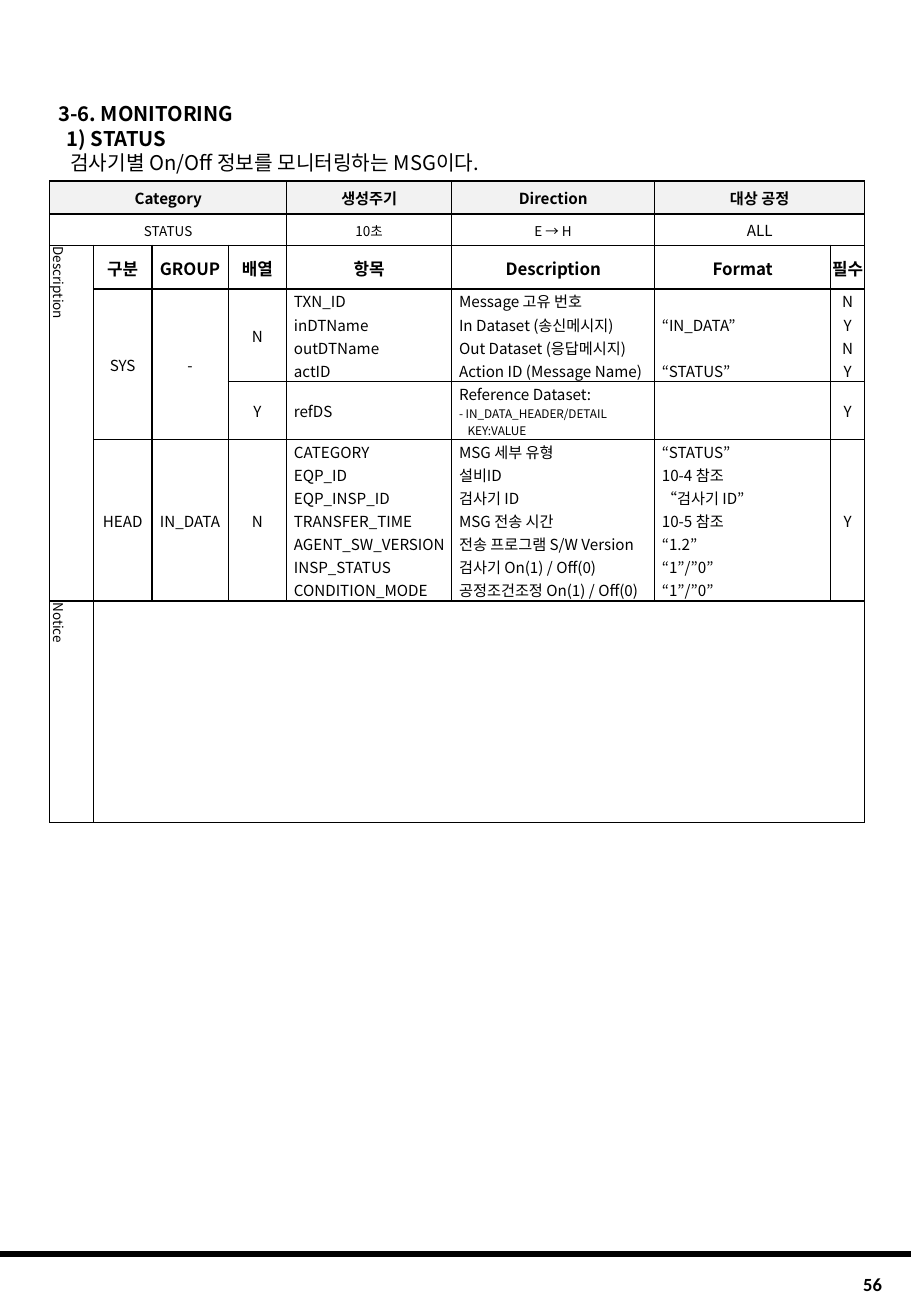
from dataclasses import dataclass

from lxml.etree import SubElement
from pptx import Presentation
from pptx.dml.color import RGBColor
from pptx.enum.shapes import MSO_CONNECTOR as Conn
from pptx.enum.text import MSO_ANCHOR as Anchor, PP_ALIGN as Align
from pptx.oxml import parse_xml
from pptx.oxml.ns import nsdecls, qn
from pptx.util import Inches, Pt


@dataclass(frozen=True)
class Theme:
    ink: RGBColor = RGBColor(0, 0, 0)
    band: RGBColor = RGBColor(0xF2, 0xF2, 0xF2)
    font: str = "Noto Sans CJK KR"
    side: str = "Calibri"
    title: int = 12
    page: int = 11
    head: int = 10
    body: int = 9
    small: int = 8
    note: int = 7
    pitch: float = 14.2


T = Theme()

COLS = [0.36, 0.48, 0.63, 0.48, 1.36, 1.67, 1.45, 0.28]
ROWS = [0.27, 0.26, 0.36] + [0.19] * 4 + [0.48] + [0.19] * 7 + [1.82]
TOP = ["Category", "생성주기", "Direction", "대상 공정"]
VALUES = ["STATUS", "10초", "E → H", "ALL"]
HEADS = ["구분", "GROUP", "배열", "항목", "Description", "Format", "필수"]
SYS = [
    ("TXN_ID", "Message 고유 번호", "", "N"),
    ("inDTName", "In Dataset (송신메시지)", "“IN_DATA”", "Y"),
    ("outDTName", "Out Dataset (응답메시지)", "", "N"),
    ("actID", "Action ID (Message Name)", "“STATUS”", "Y"),
    ("refDS", "Reference Dataset:\v- IN_DATA_HEADER/DETAIL\nKEY:VALUE", "", "Y"),
]
HEAD = [
    ("CATEGORY", "MSG 세부 유형", "“STATUS”"),
    ("EQP_ID", "설비ID", "10-4 참조"),
    ("EQP_INSP_ID", "검사기 ID", "“검사기 ID”"),
    ("TRANSFER_TIME", "MSG 전송 시간", "10-5 참조"),
    ("AGENT_SW_VERSION", "전송 프로그램 S/W Version", "“1.2”"),
    ("INSP_STATUS", "검사기 On(1) / Off(0)", "“1”/”0”"),
    ("CONDITION_MODE", "공정조건조정 On(1) / Off(0)", "“1”/”0”"),
]
# Merged areas: row, column, last row, last column
SPANS = [(0, 0, 0, 3), (0, 6, 0, 7), (1, 0, 1, 3), (1, 6, 1, 7),
         (2, 0, 14, 0), (3, 1, 7, 1), (3, 2, 7, 2), (3, 3, 6, 3),
         (8, 1, 14, 1), (8, 2, 14, 2), (8, 3, 14, 3), (8, 7, 14, 7),
         (15, 1, 15, 7)]
# Row groups that have no lines between their rows
GROUPS = [(3, 6), (8, 14)]


def style(run, size, bold=False, font=T.font):
    run.font.size, run.font.bold = Pt(size), bold
    run.font.name, run.font.color.rgb = font, T.ink
    east = SubElement(run.font._element, qn("a:ea"))
    east.set("typeface", T.font)


def indent(para, width):
    props = para._p.get_or_add_pPr()
    props.set("marL", str(Inches(width)))
    props.set("indent", "0")


def fill_text(shape, lines, at, size, bolds, font=T.font,
              align=Align.LEFT, anchor=Anchor.TOP, inset=0, pitch=None):
    shape.left, shape.top, shape.width, shape.height = map(Inches, at)
    frame = shape.text_frame
    frame.text = "\n".join(lines)
    frame.word_wrap, frame.vertical_anchor = True, anchor
    frame.margin_left = frame.margin_right = Inches(inset)
    frame.margin_top = frame.margin_bottom = Inches(inset / 2)
    for para, bold in zip(frame.paragraphs, bolds):
        para.alignment = align
        if pitch:
            para.line_spacing = Pt(pitch)
        for run in para.runs:
            style(run, size, bold, font)
    return frame


def put(cell, text, size=T.body, bold=False, left=False):
    cell.text_frame.text = text
    for para in cell.text_frame.paragraphs:
        para.alignment = Align.LEFT if left else Align.CENTER
        for run in para.runs:
            style(run, size, bold)
    if left:
        cell.margin_left = Inches(0.06)


def turn(cell, text):
    put(cell, text, T.small, left=True)
    cell.margin_left = Inches(0.01)
    cell._tc.get_or_add_tcPr().set("vert", "vert")


def edges(cell, row, col):
    props = cell._tc.get_or_add_tcPr()
    open_top = open_end = False
    for first, last in GROUPS:
        if col >= 4 and first <= row <= last:
            open_top, open_end = row > first, row < last
    sides = [("L", False), ("R", False), ("T", open_top), ("B", open_end)]
    for spot, (side, bare) in enumerate(sides):
        paint = "<a:noFill/>" if bare else (
            f'<a:solidFill><a:srgbClr val="{T.ink}"/></a:solidFill>')
        props.insert(spot, parse_xml(
            f'<a:ln{side} {nsdecls("a")} w="{Pt(1)}">{paint}</a:ln{side}>'))


def base(table):
    for row in range(len(ROWS)):
        for col in range(len(COLS)):
            cell = table.cell(row, col)
            cell.margin_left = cell.margin_right = Inches(0.01)
            cell.margin_top, cell.margin_bottom = Inches(0.01), 0
            cell.vertical_anchor = Anchor.MIDDLE
            if row:
                cell.fill.background()
            else:
                cell.fill.solid()
                cell.fill.fore_color.rgb = T.band
            edges(cell, row, col)
            # Keep empty cells from stretching their row
            para = cell.text_frame.paragraphs[0]._p
            SubElement(para, qn("a:endParaRPr")).set("sz", str(T.small * 100))


def add_grid(slide):
    size = Inches(sum(COLS)), Inches(sum(ROWS))
    table = slide.shapes.add_table(
        len(ROWS), len(COLS), Inches(0.41), Inches(1.49), *size).table
    table.first_row = table.horz_banding = False
    for col, width in zip(table.columns, COLS):
        col.width = Inches(width)
    for row, height in zip(table.rows, ROWS):
        row.height = Inches(height)
    base(table)
    for top, left, end, right in SPANS:
        table.cell(top, left).merge(table.cell(end, right))

    # Message summary
    for col, name, value in zip((0, 4, 5, 6), TOP, VALUES):
        put(table.cell(0, col), name, T.body, True)
        put(table.cell(1, col), value, T.body if col == 6 else T.small)

    # Side labels and column heads
    turn(table.cell(2, 0), "Description")
    turn(table.cell(15, 0), "Notice")
    for col, name in enumerate(HEADS, 1):
        put(table.cell(2, col), name, T.head, True)

    # Group labels
    for row, names in ((3, ("SYS", "-", "N")), (8, ("HEAD", "IN_DATA", "N"))):
        for col, name in enumerate(names, 1):
            put(table.cell(row, col), name)
    put(table.cell(7, 3), "Y")
    put(table.cell(8, 7), "Y")

    # Message items
    for row, item in enumerate(SYS + HEAD, 3):
        for col, text in enumerate(item, 4):
            if text:
                put(table.cell(row, col), text, left=col < 7)
    first, last = table.cell(7, 5).text_frame.paragraphs
    for run in (first.runs[1], last.runs[0]):
        run.font.size = Pt(T.note)
    indent(last, 0.07)


def add_rule(slide):
    rule = slide.shapes.add_connector(
        Conn.STRAIGHT, 0, Inches(10.32), Inches(7.5), Inches(10.32))
    rule.line.color.rgb, rule.line.width = T.ink, Pt(3)
    SubElement(rule._element.spPr, qn("a:effectLst"))


def main():
    deck = Presentation()
    deck.slide_width, deck.slide_height = Inches(7.5), Inches(10.83)
    slide = deck.slides.add_slide(deck.slide_layouts[5])
    boxes = slide.shapes

    # Headings
    fill_text(boxes.title, ["3-6. MONITORING"], (0.48, 0.84, 6.61, 0.2),
              T.title, [True], pitch=T.pitch)
    intro = ["1) STATUS", "검사기별 On/Off 정보를 모니터링하는 MSG이다."]
    frame = fill_text(boxes.add_textbox(0, 0, 0, 0), intro,
                      (0.55, 1.04, 6.54, 0.4), T.title, [True, False],
                      pitch=T.pitch)
    indent(frame.paragraphs[1], 0.03)

    add_grid(slide)

    # Footer
    add_rule(slide)
    fill_text(boxes.add_textbox(0, 0, 0, 0), ["56"],
              (6.18, 10.43, 1.18, 0.28), T.page, [True], T.side,
              Align.RIGHT, Anchor.MIDDLE, 0.1)
    deck.save("out.pptx")


if __name__ == "__main__":
    main()
